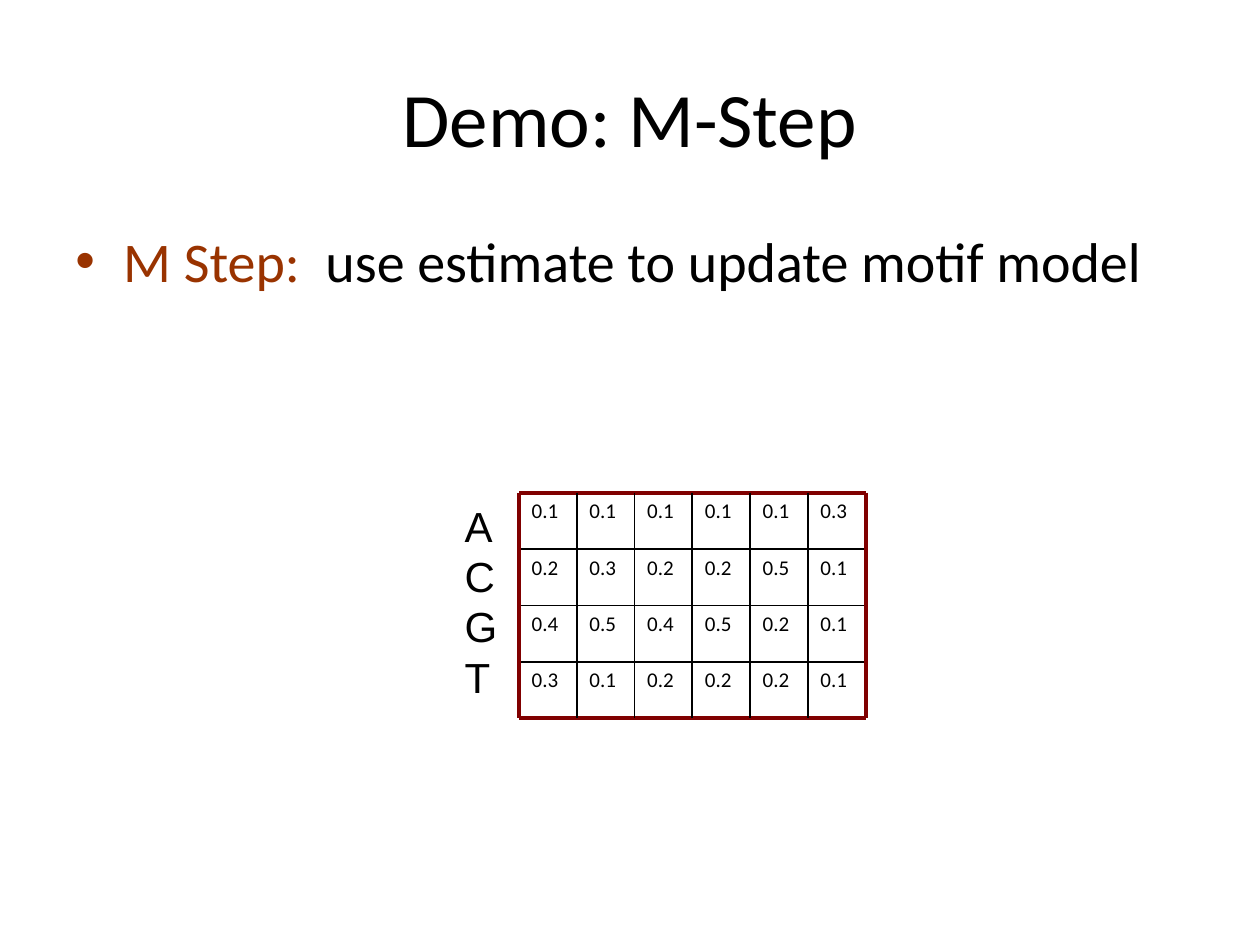
import pptx
import pptx.dml.color
import pptx.enum.shapes
import pptx.enum.text
import pptx.oxml
import pptx.oxml.ns
import pptx.util

Inches = pptx.util.Inches
Pt = pptx.util.Pt

COLORS = {"text": "000000", "accent": "993300", "frame": "800000"}
BASES = "ACGT"
MOTIF_MODEL = [
    [0.1, 0.1, 0.1, 0.1, 0.1, 0.3],
    [0.2, 0.3, 0.2, 0.2, 0.5, 0.1],
    [0.4, 0.5, 0.4, 0.5, 0.2, 0.1],
    [0.3, 0.1, 0.2, 0.2, 0.2, 0.1],
]


def rgb(color):
    return pptx.dml.color.RGBColor.from_string(COLORS[color])


def element(tag, attributes=""):
    """Make an empty element of the drawing namespace."""
    return pptx.oxml.parse_xml(
        f'<a:{tag} {pptx.oxml.ns.nsdecls("a")} {attributes}/>')


class SlideBuilder:
    """Holds the style and the current slide."""

    font_name = "Calibri"
    inner_line = ("text", 1)
    outer_line = ("frame", 2.25)

    def __init__(self, deck):
        self.slide = deck.slides.add_slide(deck.slide_layouts[5])

    def style(self, font, size, color="text", name=None):
        values = {"name": name or self.font_name, "size": Pt(size), "bold": False}
        for key, value in values.items():
            setattr(font, key, value)
        font.color.rgb = rgb(color)

    def place(self, shape, box):
        for key, value in zip(("left", "top", "width", "height"), box):
            setattr(shape, key, Inches(value))

    def title(self, text, box):
        heading = self.slide.shapes.title
        self.place(heading, box)
        heading.text_frame.vertical_anchor = pptx.enum.text.MSO_ANCHOR.MIDDLE
        paragraph = heading.text_frame.paragraphs[0]
        paragraph.text = text
        paragraph.alignment = pptx.enum.text.PP_ALIGN.CENTER
        self.style(paragraph.runs[0].font, 44)

    def text_frame(self, box, wrap):
        frame = self.slide.shapes.add_textbox(*map(Inches, box)).text_frame
        frame.word_wrap = wrap
        return frame

    def bullet(self, parts, box, indent=0.38):
        """Add one bulleted paragraph made of (text, color) parts."""
        paragraph = self.text_frame(box, True).paragraphs[0]
        properties = paragraph._p.get_or_add_pPr()
        properties.set("marL", str(Inches(indent)))
        properties.set("indent", str(-Inches(indent)))
        properties.append(element("buFont", 'typeface="Arial"'))
        properties.append(element("buChar", 'char="•"'))
        for text, color in parts:
            run = paragraph.add_run()
            run.text = text
            self.style(run.font, 32, color)

    def row_labels(self, labels, box):
        frame = self.text_frame(box, False)
        frame.text = "\n".join(labels)
        for paragraph in frame.paragraphs:
            self.style(paragraph.runs[0].font, 24, name="Arial")

    def rule(self, start, end, line):
        color, width = line
        connector = self.slide.shapes.add_connector(
            pptx.enum.shapes.MSO_CONNECTOR.STRAIGHT,
            *map(Inches, (*start, *end)))
        connector.line.color.rgb = rgb(color)
        connector.line.width = Pt(width)
        connector._element.spPr.append(element("effectLst"))

    def grid(self, rows, columns, box):
        """Rule a grid: thin inner lines first, then the heavier frame."""
        left, top, width, height = box
        right, bottom = left + width, top + height
        ys = [top + height * r / rows for r in range(rows + 1)]
        xs = [left + width * c / columns for c in range(columns + 1)]
        for part, line in ((slice(1, -1), self.inner_line),
                           (slice(None, None, rows), self.outer_line)):
            for y in ys[part]:
                self.rule((left, y), (right, y), line)
        for part, line in ((slice(1, -1), self.inner_line),
                           (slice(None, None, columns), self.outer_line)):
            for x in xs[part]:
                self.rule((x, top), (x, bottom), line)

    def matrix(self, values, box):
        rows, columns = len(values), len(values[0])
        table = self.slide.shapes.add_table(
            rows, columns, *map(Inches, box)).table
        table.first_row = table.horz_banding = False
        for r, row in enumerate(values):
            for c, value in enumerate(row):
                cell = table.cell(r, c)
                cell.text = str(value)
                self.style(cell.text_frame.paragraphs[0].runs[0].font, 12)
                cell.fill.background()
        self.grid(rows, columns, box)


def main():
    deck = pptx.Presentation()
    deck.slide_width, deck.slide_height = Inches(10), Inches(7.5)
    builder = SlideBuilder(deck)
    builder.title("Demo: M-Step", (0.5, 0.3, 9, 1.25))
    builder.bullet([("M Step:  ", "accent"),
                    ("use estimate to update motif model", "text")],
                   (0.5, 1.75, 9, 4.95))
    builder.matrix(MOTIF_MODEL, (4.12, 3.91, 2.75, 1.79))
    builder.row_labels(BASES, (3.59, 3.92, 0.46, 1.72))
    deck.save("out.pptx")


if __name__ == "__main__":
    main()
